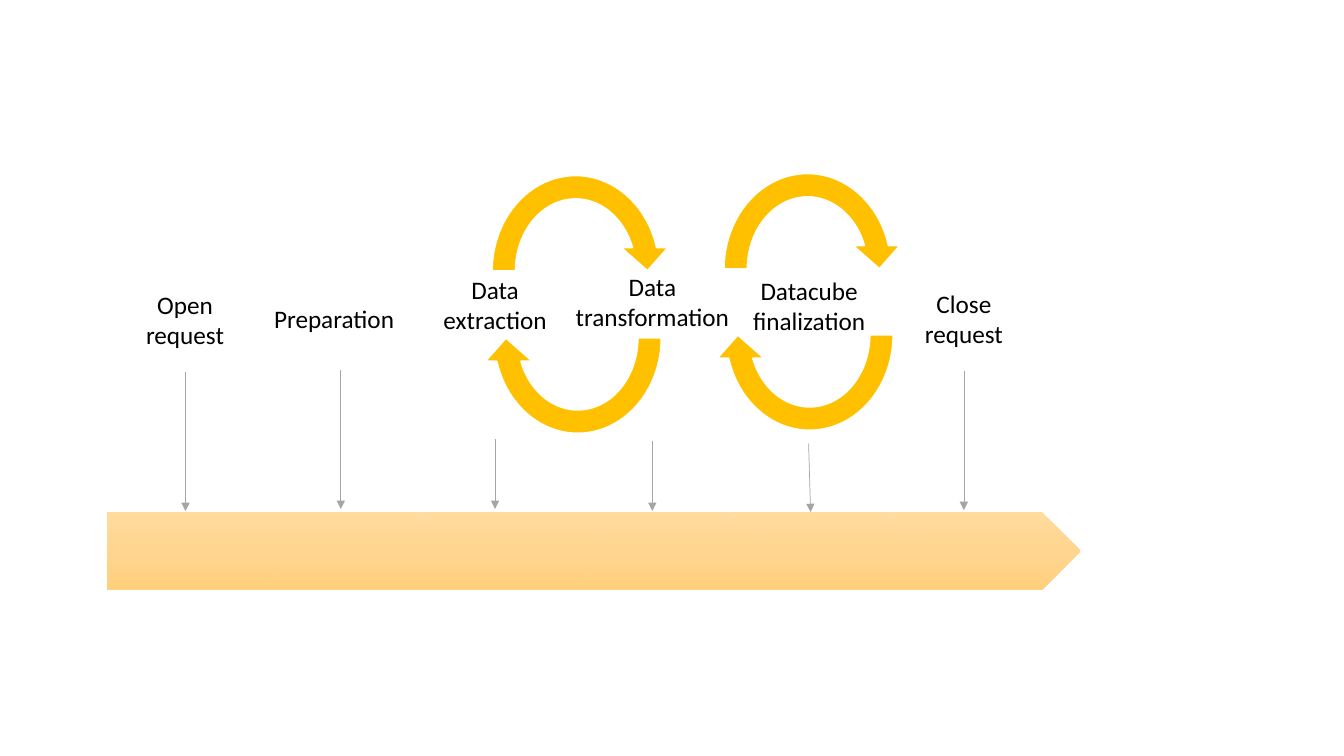
from copy import deepcopy

from pptx import Presentation
from pptx.dml.color import RGBColor
from pptx.enum import dml, shapes, text
from pptx.oxml import ns
from pptx.oxml.xmlchemy import OxmlElement
from pptx.util import Inches, Pt

BAND_TOP = RGBColor(0xFF, 0xDB, 0x9E)
BAND_MIDDLE = RGBColor(0xFF, 0xD5, 0x90)
BAND_BOTTOM = RGBColor(0xFF, 0xD0, 0x7C)
AMBER = RGBColor(0xFF, 0xC0, 0x00)
WHITE = RGBColor(0xFF, 0xFF, 0xFF)
BLACK = RGBColor(0x00, 0x00, 0x00)
GREY = RGBColor(0xA5, 0xA5, 0xA5)

CENTER = text.PP_ALIGN.CENTER
LEFT = text.PP_ALIGN.LEFT

STEPS = [
    ("Open request", CENTER, (1.34, 2.82, 0.99, 0.71)),
    ("Preparation", LEFT, (2.62, 2.96, 1.46, 0.4)),
    ("Data extraction", CENTER, (4.15, 2.67, 1.52, 0.71)),
    ("Data transformation", CENTER, (5.58, 2.64, 1.78, 0.71)),
    ("Datacube finalization", CENTER, (7.32, 2.68, 1.41, 0.71)),
    ("Close request", CENTER, (8.8, 2.81, 1.52, 0.71)),
]
POINTERS = [
    (1.84, 3.69, 1.84, 5.07),
    (3.38, 3.67, 3.38, 5.05),
    (4.91, 4.36, 4.91, 5.05),
    (6.47, 4.38, 6.47, 5.07),
    (8.02, 4.4, 8.04, 5.08),
    (9.56, 3.68, 9.56, 5.06),
]
CYCLES = [
    (7.06, 1.6, 0),
    (4.76, 1.62, 0),
    (7.08, 2.25, 180),
    (4.78, 2.28, 180),
]
BAND_LEFT = 1.06
BAND_STEP = 7.73 / 5


def add_preset(page, kind, left, top, width, height):
    shape = page.shapes.add_shape(
        kind, Inches(left), Inches(top), Inches(width), Inches(height))
    shape.shadow.inherit = False
    return shape


def add_band_segment(page, index):
    kind = shapes.MSO_SHAPE.CHEVRON if index else shapes.MSO_SHAPE.PENTAGON
    segment = add_preset(page, kind, BAND_LEFT + index * BAND_STEP, 5.08, 1.93, 0.77)
    segment.adjustments[0] = 0.5
    segment.line.fill.background()
    segment.fill.gradient()
    segment.fill.gradient_angle = 270
    stop_list = segment._element.spPr.find(".//" + ns.qn("a:gsLst"))
    stop_list.insert(1, deepcopy(stop_list[0]))
    colors = (BAND_TOP, BAND_MIDDLE, BAND_BOTTOM)
    for place, (stop, color) in enumerate(zip(segment.fill.gradient_stops, colors)):
        stop.position = place / 2
        stop.color.rgb = color


def add_label(page, words, alignment, bounds):
    box = page.shapes.add_textbox(*map(Inches, bounds))
    frame = box.text_frame
    frame.word_wrap = True
    frame.auto_size = text.MSO_AUTO_SIZE.SHAPE_TO_FIT_TEXT
    para = frame.paragraphs[0]
    para.alignment = alignment
    span = para.add_run()
    span.text = words
    span.font.name = "Calibri"
    span.font.size = Pt(18)
    span.font.color.rgb = BLACK


def add_pointer(page, ends):
    pointer = page.shapes.add_connector(
        shapes.MSO_CONNECTOR.STRAIGHT, *map(Inches, ends))
    pointer.line.color.rgb = GREY
    pointer.line.width = Pt(0.5)
    head = OxmlElement("a:tailEnd")
    head.set("type", "triangle")
    pointer.line._get_or_add_ln().append(head)
    pointer._element.spPr.append(OxmlElement("a:effectLst"))


def add_cycle_arrow(page, left, top, rotation):
    arrow = add_preset(page, shapes.MSO_SHAPE.CIRCULAR_ARROW, left, top, 1.9, 2.14)
    arrow.rotation = rotation
    arrow.fill.solid()
    arrow.fill.fore_color.rgb = AMBER
    arrow.line.color.rgb = WHITE
    arrow.line.width = Pt(1.5)
    arrow.line.dash_style = dml.MSO_LINE.SOLID


def main():
    deck = Presentation()
    deck.slide_width = Inches(13.33)
    deck.slide_height = Inches(7.5)
    page = deck.slides.add_slide(deck.slide_layouts[6])
    for index in range(len(STEPS)):
        add_band_segment(page, index)
    for words, alignment, bounds in STEPS:
        add_label(page, words, alignment, bounds)
    for ends in POINTERS:
        add_pointer(page, ends)
    for left, top, rotation in CYCLES:
        add_cycle_arrow(page, left, top, rotation)
    deck.save("out.pptx")


if __name__ == "__main__":
    main()
